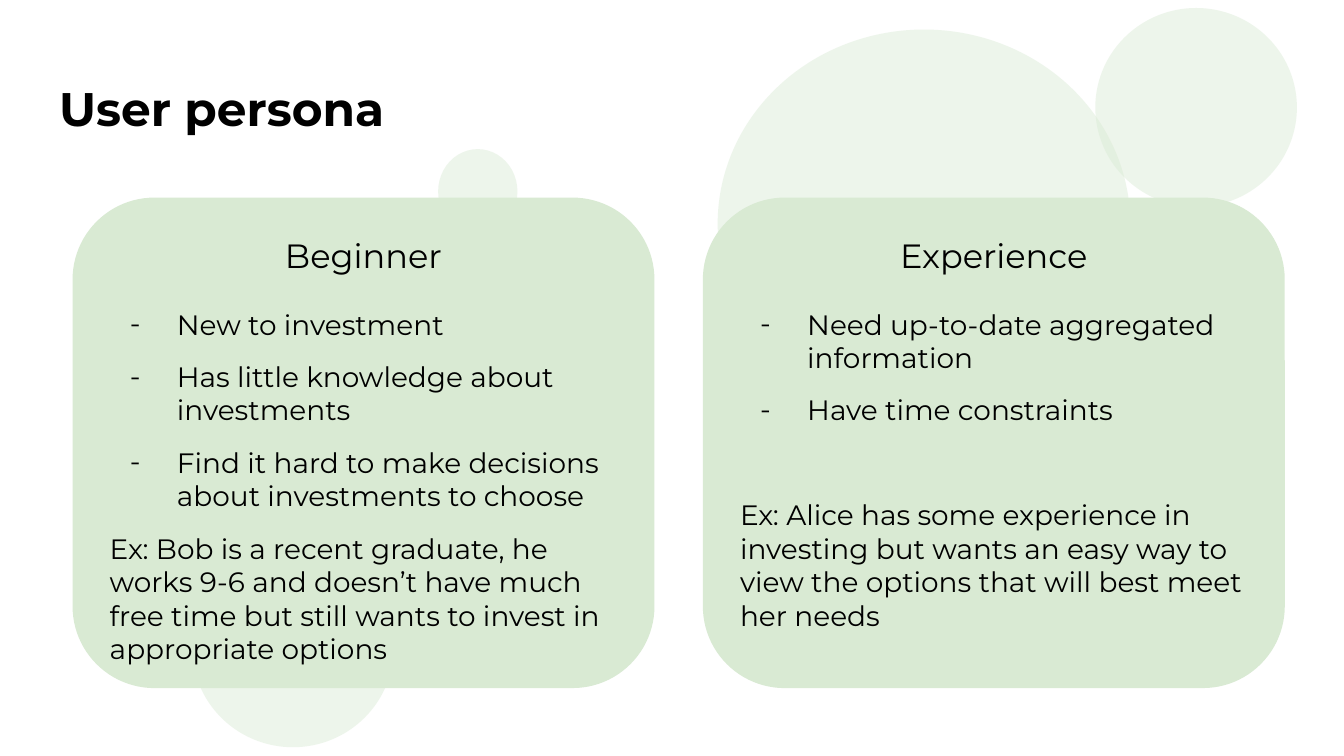
from lxml import etree
from pptx import Presentation
from pptx import util as u
from pptx.dml.color import RGBColor
from pptx.enum import shapes, text
from pptx.oxml.ns import qn

FONT = "Montserrat"
GREEN, BLACK = "D9EAD3", "000000"
CIRCLE_OPACITY = 45
CARD_LEFT, CARD_TOP, CARD_W, CARD_H = 0.54, 1.47, 4.33, 3.65
CARD_PITCH = 4.69

CIRCLES = [
    (1.43, 4.08, 1.5, 1.48),
    (5.34, 0.22, 3.07, 2.89),
    (3.26, 1.11, 0.59, 0.63),
    (8.15, 0.06, 1.5, 1.48),
]

# Heading, traits, example, space before the example in points
PERSONAS = [
    ("Beginner",
     ["New to investment",
      "Has little knowledge about investments",
      "Find it hard to make decisions about investments to choose"],
     "Ex: Bob is a recent graduate, he works 9-6 and doesn’t have much free "
     "time but still wants to invest in appropriate options",
     10),
    ("Experience",
     ["Need up-to-date aggregated information",
      "Have time constraints"],
     "Ex: Alice has some experience in investing but wants an easy way to "
     "view the options that will best meet her needs",
     38),
]


def color(hex_string):
    return RGBColor.from_string(hex_string)


def set_frame(tf):
    tf.word_wrap = True
    tf.auto_size = text.MSO_AUTO_SIZE.NONE
    tf.vertical_anchor = text.MSO_ANCHOR.TOP
    tf.margin_left = tf.margin_right = u.Inches(0.1)
    tf.margin_top = tf.margin_bottom = u.Inches(0.1)


def write(p, words, size, align=text.PP_ALIGN.LEFT, before=0, bold=False):
    p.text = words
    p.alignment = align
    p.space_before = u.Pt(before)
    for r in p.runs:
        r.font.name = FONT
        r.font.size = u.Pt(size)
        r.font.bold = bold
        r.font.color.rgb = color(BLACK)


def add_dash(p):
    """Give the paragraph a hanging dash bullet."""
    pPr = p._p.get_or_add_pPr()
    pPr.set("marL", str(u.Inches(0.5)))
    pPr.set("indent", str(u.Inches(-0.35)))
    etree.SubElement(pPr, qn("a:buFont"), typeface=FONT)
    etree.SubElement(pPr, qn("a:buChar"), char="-")


def add_filled(s, kind, box):
    sp = s.shapes.add_shape(kind, *map(u.Inches, box))
    sp.shadow.inherit = False
    sp.fill.solid()
    sp.fill.fore_color.rgb = color(GREEN)
    sp.line.fill.background()
    return sp


def add_circle(s, box):
    sp = add_filled(s, shapes.MSO_SHAPE.OVAL, box)
    srgb = sp._element.spPr.find(".//" + qn("a:srgbClr"))
    etree.SubElement(srgb, qn("a:alpha"), val=str(CIRCLE_OPACITY * 1000))


def add_title(s, words):
    sp = s.shapes.title
    sp.left, sp.top = u.Inches(0.34), u.Inches(0.49)
    sp.width, sp.height = u.Inches(9.32), u.Inches(0.63)
    set_frame(sp.text_frame)
    write(sp.text_frame.paragraphs[0], words, 25.2, bold=True)


def add_card(s, column, heading, traits, example, gap):
    box = (CARD_LEFT + column * CARD_PITCH, CARD_TOP, CARD_W, CARD_H)
    sp = add_filled(s, shapes.MSO_SHAPE.ROUNDED_RECTANGLE, box)
    sp.adjustments[0] = 0.167
    tf = sp.text_frame
    set_frame(tf)
    write(tf.paragraphs[0], heading, 18, text.PP_ALIGN.CENTER)
    for i, trait in enumerate(traits):
        p = tf.add_paragraph()
        write(p, trait, 15, before=10 if i else 17)
        add_dash(p)
    write(tf.add_paragraph(), example, 15, before=gap)


def main():
    prs = Presentation()
    prs.slide_width = u.Inches(10)
    prs.slide_height = prs.slide_width * 9 // 16
    s = prs.slides.add_slide(prs.slide_layouts[5])
    add_title(s, "User persona")
    for box in CIRCLES:
        add_circle(s, box)
    for column, persona in enumerate(PERSONAS):
        add_card(s, column, *persona)
    prs.save("out.pptx")


if __name__ == "__main__":
    main()
